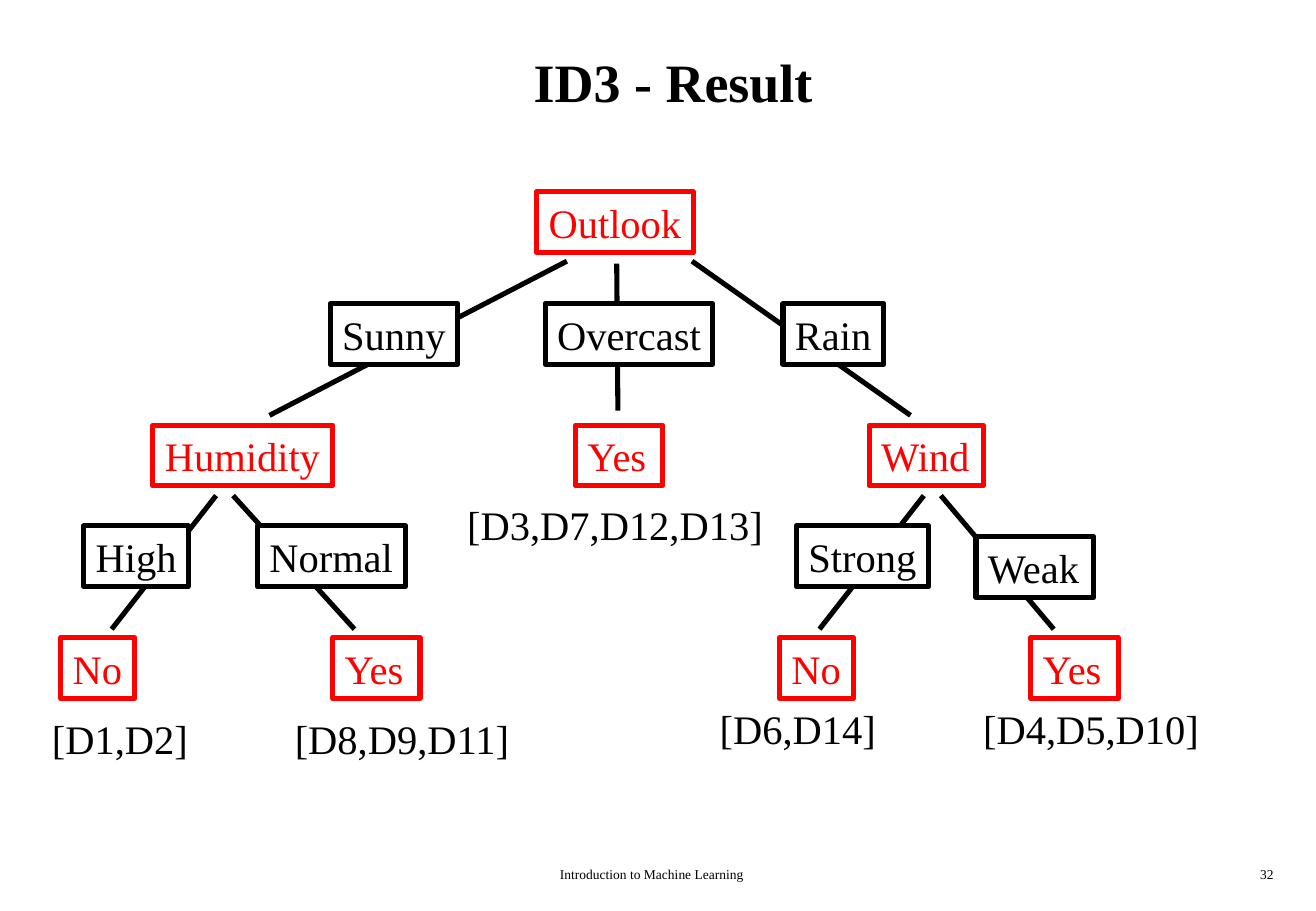
import pptx
import pptx.util
import pptx.dml.color
import pptx.enum.shapes
import pptx.enum.text

PX = 9144  # 100 px to the inch
BLACK, RED, WHITE = "000000", "FF0000", "FFFFFF"
ALIGN = pptx.enum.text.PP_ALIGN
ANCHOR = pptx.enum.text.MSO_ANCHOR


def rgb(code):
    return pptx.dml.color.RGBColor.from_string(code)


def write(shape, text, size, color=BLACK, align=ALIGN.LEFT, wrap=True):
    frame = shape.text_frame
    frame.text = text
    frame.word_wrap = wrap
    frame.vertical_anchor = ANCHOR.TOP
    para = frame.paragraphs[0]
    para.alignment = align
    font = para.runs[0].font
    font.name = "Times New Roman"
    font.size = pptx.util.Pt(size)
    font.color.rgb = rgb(color)
    return frame


deck = pptx.Presentation()
deck.slide_width, deck.slide_height = 1084 * PX, 750 * PX
slide = deck.slides.add_slide(deck.slide_layouts[6])
shapes = slide.shapes

# Title
title = shapes.add_textbox(42 * PX, 17 * PX, 1025 * PX, 100 * PX)
frame = write(title, "ID3 - Result", 32, align=ALIGN.CENTER)
frame.vertical_anchor = ANCHOR.MIDDLE
frame.paragraphs[0].runs[0].font.bold = True

# Footer and page number
for left, width, text, align in [
    (334, 406, "Introduction to Machine Learning", ALIGN.CENTER),
    (833, 226, "32", ALIGN.RIGHT),
]:
    box = shapes.add_textbox(left * PX, 708 * PX, width * PX, 25 * PX)
    write(box, text, 8, align=align)

# Branches, drawn first so the value boxes cover their middles
for x1, y1, x2, y2 in [
    (467, 215, 222, 342),
    (570, 215, 750, 342),
    (508, 217, 509, 338),
    (178, 408, 92, 518),
    (192, 408, 292, 518),
    (775, 408, 868, 518),
    (761, 408, 675, 518),
]:
    branch = shapes.add_connector(
        pptx.enum.shapes.MSO_CONNECTOR.STRAIGHT, x1 * PX, y1 * PX, x2 * PX, y2 * PX)
    branch.line.color.rgb = rgb(BLACK)
    branch.line.width = pptx.util.Pt(3)
    props = branch._element.spPr
    props.append(pptx.oxml.parse_xml(
        '<a:effectLst xmlns:a="http://schemas.openxmlformats.org/drawingml/2006/main"/>'))

# Tree rows: top, color, then left, width and text of each box
rows = [
    (158, RED, [(442, 129, "Outlook")]),
    (250, BLACK, [(272, 105, "Sunny"), (449, 138, "Overcast"), (645, 83, "Rain")]),
    (350, RED, [(126, 148, "Humidity"), (474, 72, "Yes"), (716, 94, "Wind")]),
    (433, BLACK, [(69, 86, "High"), (212, 122, "Normal"), (656, 109, "Strong")]),
    (442, BLACK, [(804, 97, "Weak")]),
    (525, RED, [(50, 61, "No"), (274, 72, "Yes"), (642, 61, "No"), (849, 72, "Yes")]),
]
for top, color, nodes in rows:
    for left, width, text in nodes:
        node = shapes.add_shape(
            pptx.enum.shapes.MSO_SHAPE.RECTANGLE,
            left * PX, top * PX, width * PX, 50 * PX)
        node.shadow.inherit = False
        node.fill.solid()
        node.fill.fore_color.rgb = rgb(WHITE)
        node.line.color.rgb = rgb(color)
        node.line.width = pptx.util.Pt(3)
        write(node, text, 24, color, wrap=False)

# Training days under each leaf
for left, top, width, text in [
    (375, 407, 292, "[D3,D7,D12,D13]"),
    (33, 583, 167, "[D1,D2]"),
    (233, 583, 244, "[D8,D9,D11]"),
    (583, 575, 200, "[D6,D14]"),
    (800, 575, 244, "[D4,D5,D10]"),
]:
    days = shapes.add_textbox(left * PX, top * PX, width * PX, 50 * PX)
    write(days, text, 24)

deck.save("out.pptx")
